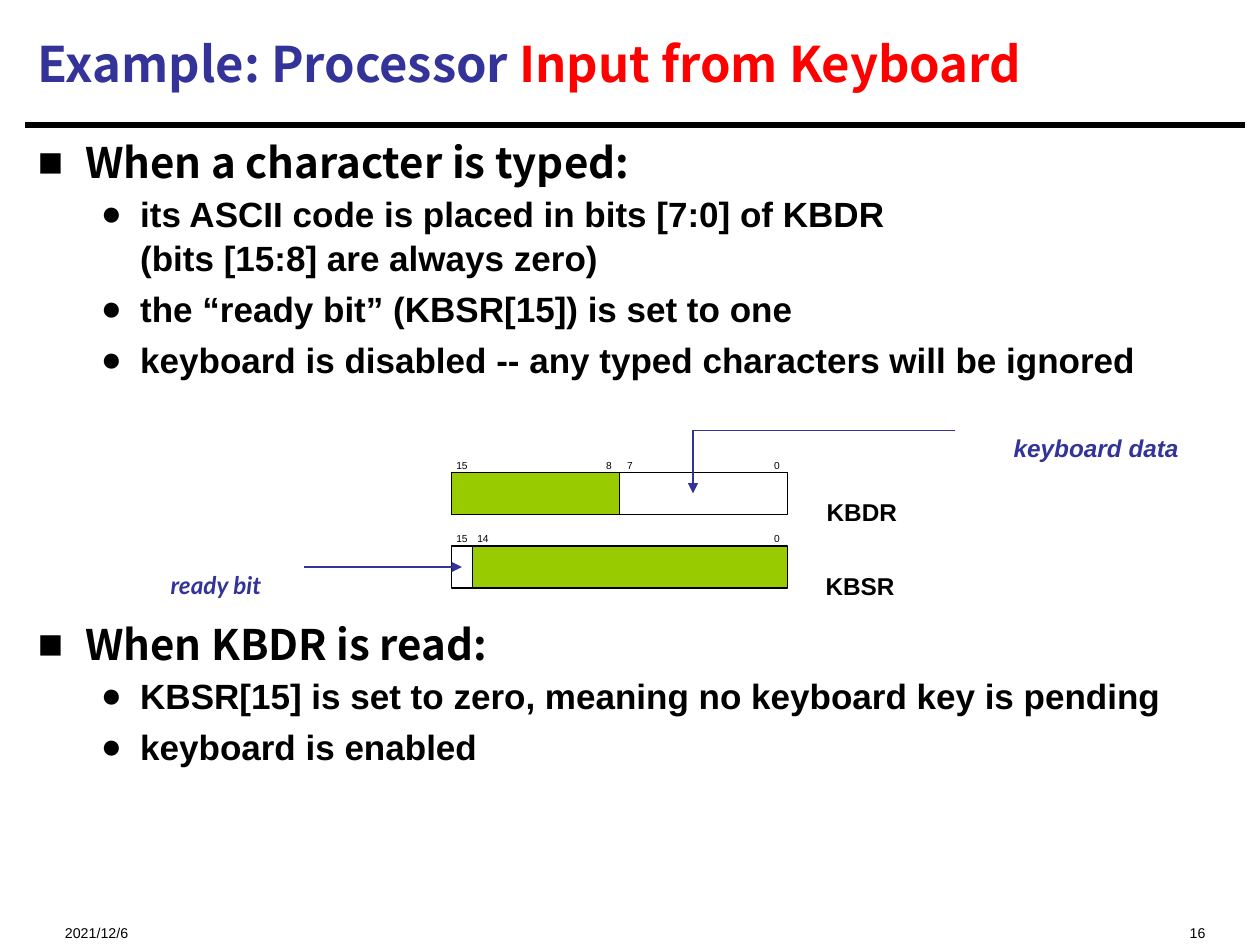
import pptx
import pptx.dml.color
import pptx.enum.shapes
import pptx.enum.text
import pptx.oxml
import pptx.oxml.ns
import pptx.util

Pt = pptx.util.Pt
RGBColor = pptx.dml.color.RGBColor
ALIGN = pptx.enum.text.PP_ALIGN
ANCHOR = pptx.enum.text.MSO_ANCHOR
AUTO = pptx.enum.text.MSO_AUTO_SIZE

BLACK = RGBColor(0x00, 0x00, 0x00)
WHITE = RGBColor(0xFF, 0xFF, 0xFF)
BLUE = RGBColor(0x33, 0x33, 0x99)
RED = RGBColor(0xFF, 0x00, 0x00)
GREEN = RGBColor(0x99, 0xCC, 0x00)

HEADING_FONT = "Noto Sans CJK SC"
BIT_WIDTH = 12
REGISTER_LEFT = 258
REGISTER_HEIGHT = 24

SECTIONS = [
    ("When a character is typed:", 0, [
        "its ASCII code is placed in bits [7:0] of KBDR\v(bits [15:8] are always zero)",
        "the “ready bit” (KBSR[15]) is set to one",
        "keyboard is disabled -- any typed characters will be ignored",
    ]),
    ("When KBDR is read:", 136, [
        "KBSR[15] is set to zero, meaning no keyboard key is pending",
        "keyboard is enabled",
    ]),
]

# name, top, name centre, fields as (high bit, low bit, fill), numbered bits
REGISTERS = [
    ("KBDR", 270, 492.5, [(15, 8, GREEN), (7, 0, WHITE)], [15, 8, 7, 0]),
    ("KBSR", 312, 491.5, [(15, 15, WHITE), (14, 0, GREEN)], [15, 14, 0]),
]


def place(sp, left, top, width, height):
    sp.left, sp.top, sp.width, sp.height = Pt(left), Pt(top), Pt(width), Pt(height)


def format_run(r, size, color, name="Arial", bold=False, italic=False):
    f = r.font
    f.size, f.name, f.bold, f.italic = Pt(size), name, bold, italic
    f.color.rgb = color
    rPr = r._r.get_or_add_rPr()
    ea = pptx.oxml.parse_xml(
        '<a:ea %s typeface="%s"/>' % (pptx.oxml.ns.nsdecls("a"), name))
    rPr.find(pptx.oxml.ns.qn("a:latin")).addnext(ea)


def add_title(s):
    sp = s.shapes.title
    place(sp, 14.4, 5.76, 696, 60.5)
    tf = sp.text_frame
    tf.auto_size = AUTO.NONE
    tf.vertical_anchor = ANCHOR.MIDDLE
    p = tf.paragraphs[0]
    p.alignment = ALIGN.LEFT
    for text, color in [("Example: Processor ", BLUE), ("Input from Keyboard", RED)]:
        r = p.add_run()
        r.text = text
        format_run(r, 28, color, HEADING_FONT, bold=True)


def add_item(tf, text, level, before):
    """Write one bulleted paragraph of the body."""
    p = tf.paragraphs[0] if not tf.text else tf.add_paragraph()
    p.text = text
    p.level = level
    p.space_before = Pt(before)
    p.line_spacing = 1.05 if level else 1.0
    margin, indent, bullet = [(27, -27, "■"), (58.5, -22.5, "●")][level]
    pPr = p._p.get_or_add_pPr()
    pPr.set("marL", str(Pt(margin)))
    pPr.set("indent", str(Pt(indent)))
    for xml in ('<a:buFont %s typeface="Arial"/>', '<a:buChar %%s char="%s"/>' % bullet):
        pPr.append(pptx.oxml.parse_xml(xml % pptx.oxml.ns.nsdecls("a")))
    for r in p.runs:
        if level:
            format_run(r, 20, BLACK, bold=True)
        else:
            format_run(r, 24, BLACK, HEADING_FONT, bold=True)


def add_body(s):
    sp = s.placeholders[1]
    place(sp, 14.4, 77, 696, 431)
    tf = sp.text_frame
    tf.auto_size = AUTO.NONE
    tf.vertical_anchor = ANCHOR.TOP
    tf.margin_top = Pt(1)
    for heading, before, items in SECTIONS:
        add_item(tf, heading, 0, before)
        for i, item in enumerate(items):
            add_item(tf, item, 1, 4 if i else 2)


def add_label(s, text, left, top, width, height, size, color=BLACK,
              align=ALIGN.CENTER, **style):
    """Add a one-line label set as lowered small text."""
    sp = s.shapes.add_textbox(Pt(left), Pt(top), Pt(width), Pt(height))
    tf = sp.text_frame
    tf.word_wrap = align != ALIGN.CENTER
    tf.text = text
    p = tf.paragraphs[0]
    p.alignment = align
    r = p.runs[0]
    format_run(r, size, color, **style)
    r._r.get_or_add_rPr().set("baseline", "-25000")


def add_line(s, x1, y1, x2, y2, color=BLUE, width=0.75, arrow=False):
    c = s.shapes.add_connector(
        pptx.enum.shapes.MSO_CONNECTOR.STRAIGHT, Pt(x1), Pt(y1), Pt(x2), Pt(y2))
    c.line.color.rgb = color
    c.line.width = Pt(width)
    ns = pptx.oxml.ns.nsdecls("a")
    if arrow:
        c.line._get_or_add_ln().append(
            pptx.oxml.parse_xml('<a:tailEnd %s type="triangle"/>' % ns))
    c._element.spPr.append(pptx.oxml.parse_xml("<a:effectLst %s/>" % ns))


def bit_left(bit):
    return REGISTER_LEFT + (15 - bit) * BIT_WIDTH


def add_register(s, name, top, name_centre, fields, numbers):
    for high, low, fill in fields:
        sp = s.shapes.add_shape(
            pptx.enum.shapes.MSO_SHAPE.RECTANGLE, Pt(bit_left(high)), Pt(top),
            Pt((high - low + 1) * BIT_WIDTH), Pt(REGISTER_HEIGHT))
        sp.shadow.inherit = False
        sp.fill.solid()
        sp.fill.fore_color.rgb = fill
        sp.line.color.rgb = BLACK
        sp.line.width = Pt(0.75)
    add_label(s, name, name_centre - 42, top - 5.5, 84, 36, 24, bold=True)
    for bit in numbers:
        width = 25 if bit > 9 else 20
        centre = bit_left(bit) + BIT_WIDTH / 2
        add_label(s, str(bit), centre - width / 2, top - 18, width, 19.5, 10)


def main():
    prs = pptx.Presentation()
    prs.slide_width, prs.slide_height = Pt(720), Pt(540)
    s = prs.slides.add_slide(prs.slide_layouts[1])
    add_line(s, 14.4, 71.5, 711.4, 71.5, BLACK, 3.75)
    add_label(s, "2021/12/6", 30, 515, 180, 19.5, 14, align=ALIGN.LEFT)
    add_label(s, "16", 480, 515, 216, 19.5, 14, align=ALIGN.RIGHT)
    add_title(s)
    add_body(s)
    for register in REGISTERS:
        add_register(s, *register)
    add_label(s, "keyboard data", 538, 228, 177, 36, 24, BLUE, bold=True, italic=True)
    add_line(s, 546, 246, 396, 246)
    add_line(s, 396, 246, 396, 282, arrow=True)
    add_label(s, "ready bit", 72, 306, 103, 36, 24, BLUE,
              name="Lato", bold=True, italic=True)
    add_line(s, 174, 324, 264, 324, arrow=True)
    prs.save("out.pptx")


if __name__ == "__main__":
    main()
